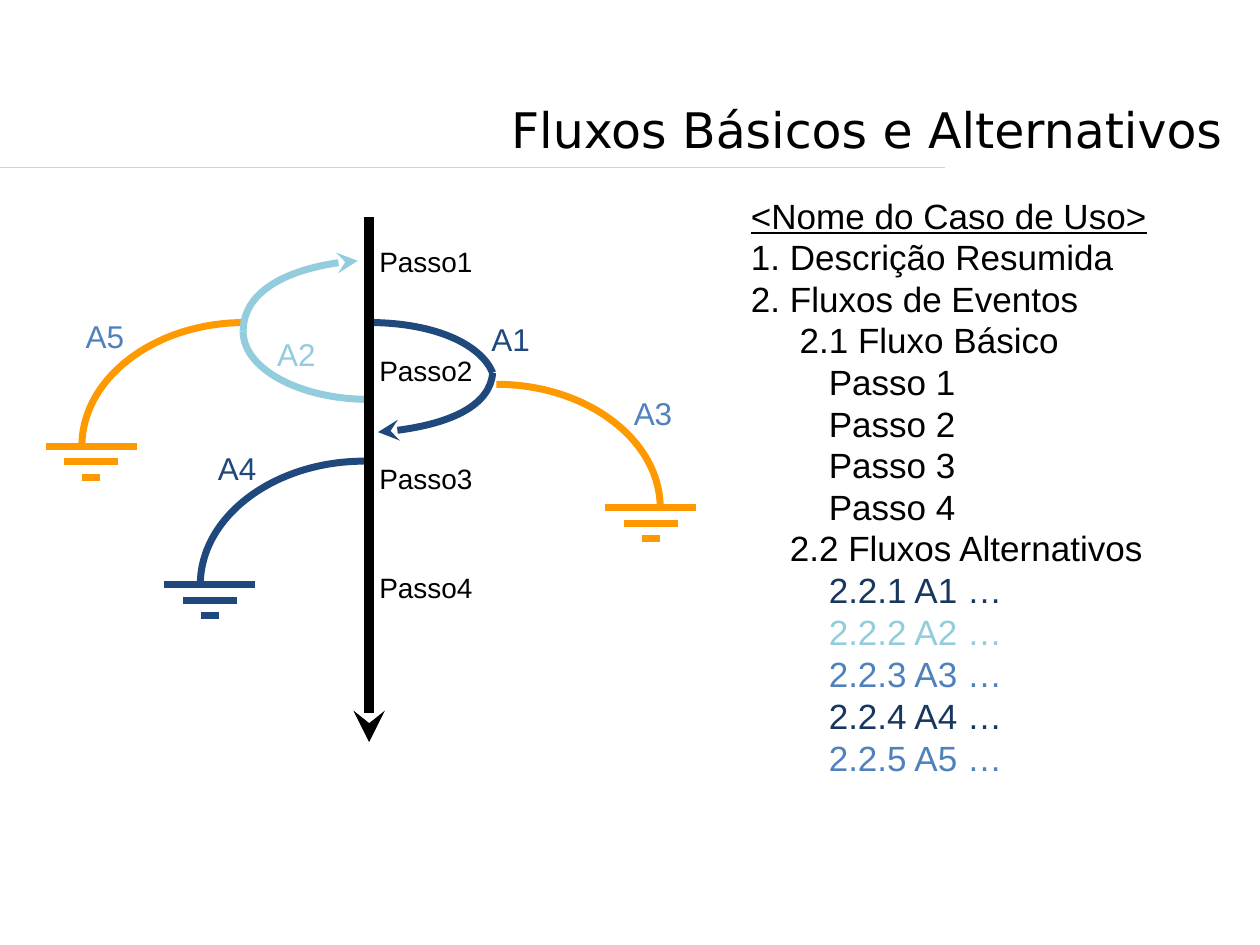
from pptx import Presentation, util as u
from pptx.dml.color import RGBColor
from pptx.enum import shapes as sh, text as tx
from pptx.oxml import ns, xmlchemy as xc

BLACK = RGBColor(0x00, 0x00, 0x00)
WHITE = RGBColor(0xFF, 0xFF, 0xFF)
NAVY = RGBColor(0x1F, 0x49, 0x7D)
DEEP = RGBColor(0x17, 0x37, 0x5E)
BLUE = RGBColor(0x4F, 0x81, 0xBD)
AQUA = RGBColor(0x93, 0xCD, 0xDD)
AMBER = RGBColor(0xFF, 0x99, 0x00)
PALE = RGBColor(0xC4, 0xD6, 0xEB)

WIDE, HIGH = u.Inches(10), u.Inches(7.5)
CELL = WIDE // 100
CURVE = 0.55
SPACE = 5.56

LABELS = [("A1", 34.8, 7.8, NAVY), ("A2", 17.8, 9, AQUA), ("A3", 46.1, 13.7, BLUE),
          ("A4", 13.1, 18, NAVY), ("A5", 2.6, 7.6, BLUE)]
ENDS = [(3.5, 18.4, 16.4, 8.6, AMBER), (49.4, 23.3, 36.4, 13.5, AMBER),
        (12.9, 29.4, 25.9, 19.6, NAVY)]
LOOPS = [
    (NAVY, [((36.1, 12.6), (26.2, 8.6), (-0.9, 0), False),
            ((36.1, 12.6), (27, 17.3), (-0.2, -0.3), True)]),
    (AQUA, [((16.3, 9.3), (26.3, 14.7), (0, 0), False),
            ((16.3, 9.3), (25.4, 3.7), (0, 0.3), True)]),
]
HEADS = [("<Nome do Caso de Uso>", 0), ("1. Descrição Resumida", 0),
         ("2. Fluxos de Eventos", 0), ("2.1 Fluxo Básico", 5)]
STEPS = [(f"Passo {n}", 8) for n in range(1, 5)]
OUTLINE = HEADS + STEPS + [("2.2 Fluxos Alternativos", 4)]
TINTS = [DEEP, AQUA, BLUE, DEEP, BLUE]


def cells(*sizes):
    """Turn grid cells into slide lengths."""
    return [round(size * CELL) for size in sizes]


def place(shape, box):
    """Set a shape on a box of grid cells."""
    shape.left, shape.top, shape.width, shape.height = cells(*box)


def style(font, size, color, name="Arial"):
    """Set the face, size and colour of a font."""
    font.name, font.size, font.color.rgb = name, u.Pt(size), color


def pad(frame):
    """Set the margins that all text on the slide shares."""
    frame.margin_left = frame.margin_right = u.Inches(0.12)
    frame.margin_top = frame.margin_bottom = u.Inches(0.06)


def stroke(shape, color, width, arrow=False):
    """Draw a plain outline, with an arrowhead at its end if asked."""
    shape.line.color.rgb, shape.line.width = color, u.Pt(width)
    props = shape.element.spPr
    if props.find(ns.qn("a:effectLst")) is None:
        props.append(xc.OxmlElement("a:effectLst"))
    if arrow:
        tail = xc.OxmlElement("a:tailEnd")
        tail.set("type", "stealth")
        shape.line._get_or_add_ln().append(tail)


def rule(parts, start, end, color, width, arrow=False):
    """Draw a straight line between two grid points."""
    line = parts.add_connector(sh.MSO_CONNECTOR.STRAIGHT, *cells(*start, *end))
    stroke(line, color, width, arrow)


def arc(parts, start, end, color, lean=(0, 0), arrow=False):
    """Draw a quarter curve that leaves upright and lands level."""
    (x0, y0), (x1, y1) = start, end
    knots = [(x0 + lean[0], y0 + CURVE * (y1 - y0)),
             (x1 - CURVE * (x1 - x0), y1 + lean[1]), end]
    pen = parts.build_freeform(*cells(*start))
    pen.add_line_segments([cells(*knot) for knot in knots], close=False)
    shape = pen.convert_to_shape()
    shape.shadow.inherit = False
    shape.fill.background()
    stroke(shape, color, 4, arrow)
    bend = xc.OxmlElement("a:cubicBezTo")
    legs = list(shape.element.iter(ns.qn("a:lnTo")))
    legs[0].addprevious(bend)
    for leg in legs:
        bend.append(leg[0])
        leg.getparent().remove(leg)


def label(slide, words, x, y, size, color):
    """Write one short label at a grid point."""
    wide, high = (9.8, 3.9) if size == 16 else (5.5, 4.2)
    note = slide.shapes.add_textbox(*cells(x, y, wide, high))
    frame = note.text_frame
    frame.word_wrap = False
    pad(frame)
    frame.text = words
    style(frame.paragraphs[0].font, size, color)


def finish(slide, foot, top, color):
    """Draw a branch that stops at a three-bar end sign."""
    parts = slide.shapes.add_group_shape().shapes
    arc(parts, foot, top, color)
    mid = foot[0] + (0.75 if top[0] > foot[0] else -0.75)
    for row, half in enumerate((3.6, 2.15, 0.72)):
        y = foot[1] + 1.23 * row
        rule(parts, (mid - half, y), (mid + half, y), color, 4)


def header(slide, box):
    """Place the title and the rule under it."""
    title = slide.shapes.title
    place(title, box)
    frame = title.text_frame
    frame.text = "Fluxos Básicos e Alternativos"
    frame.vertical_anchor = tx.MSO_ANCHOR.BOTTOM
    frame.auto_size = tx.MSO_AUTO_SIZE.NONE
    line = frame.paragraphs[0]
    line.alignment = tx.PP_ALIGN.RIGHT
    style(line.font, 28, BLACK, "DejaVu Sans")
    y = box[1] + box[3] + 0.2
    rule(slide.shapes, (0, y), (75, y), PALE, 0.75)


def diagram(slide, left, top):
    """Draw the main flow and its branches from a corner point."""
    for row in range(4):
        label(slide, f"Passo{row + 1}", left + 25.9, top + 1.8 + 8.63 * row, 16, BLACK)
    for words, x, y, color in LABELS:
        label(slide, words, left + x, top + y, 18, color)
    for x0, y0, x1, y1, color in ENDS:
        finish(slide, (left + x0, top + y0), (left + x1, top + y1), color)
    for color, halves in LOOPS:
        parts = slide.shapes.add_group_shape().shapes
        for (x0, y0), (x1, y1), lean, arrow in halves:
            arc(parts, (left + x0, top + y0), (left + x1, top + y1), color, lean, arrow)
    x = left + 26.3
    rule(slide.shapes, (x, top + 0.2), (x, top + 41.9), BLACK, 6, True)


def item(frame, words, depth, color):
    """Add one unbulleted line, set in by a number of spaces."""
    line = frame.paragraphs[0]
    if line.text:
        line = frame.add_paragraph()
    line.text = words
    props = line._p.get_or_add_pPr()
    props.set("marL", str(u.Pt(depth * SPACE)))
    props.set("indent", "0")
    props.append(xc.OxmlElement("a:buNone"))
    line.space_before = u.Pt(0)
    style(line.font, 20, color)
    return line


def outline(slide, box):
    """Fill the body with the outline of the use case."""
    body = slide.placeholders[1]
    place(body, box)
    body.fill.solid()
    body.fill.fore_color.rgb = WHITE
    frame = body.text_frame
    pad(frame)
    frame.auto_size = tx.MSO_AUTO_SIZE.NONE
    for row, (words, depth) in enumerate(OUTLINE):
        line = item(frame, words, depth, BLACK)
        line.line_spacing = 0.75
        line.space_before = u.Pt(5.75 if row else 0)
    frame.paragraphs[0].font.underline = True
    for row, color in enumerate(TINTS, 1):
        item(frame, f"2.2.{row} A{row} …", 8, color)


def main():
    """Build and save the slide."""
    deck = Presentation()
    deck.slide_width, deck.slide_height = WIDE, HIGH
    slide = deck.slides.add_slide(deck.slide_layouts[1])
    header(slide, (1.8, 2.7, 96.2, 10.4))
    diagram(slide, 3, 17)
    outline(slide, (58.4, 15.6, 37.8, 47))
    deck.save("out.pptx")


if __name__ == "__main__":
    main()
